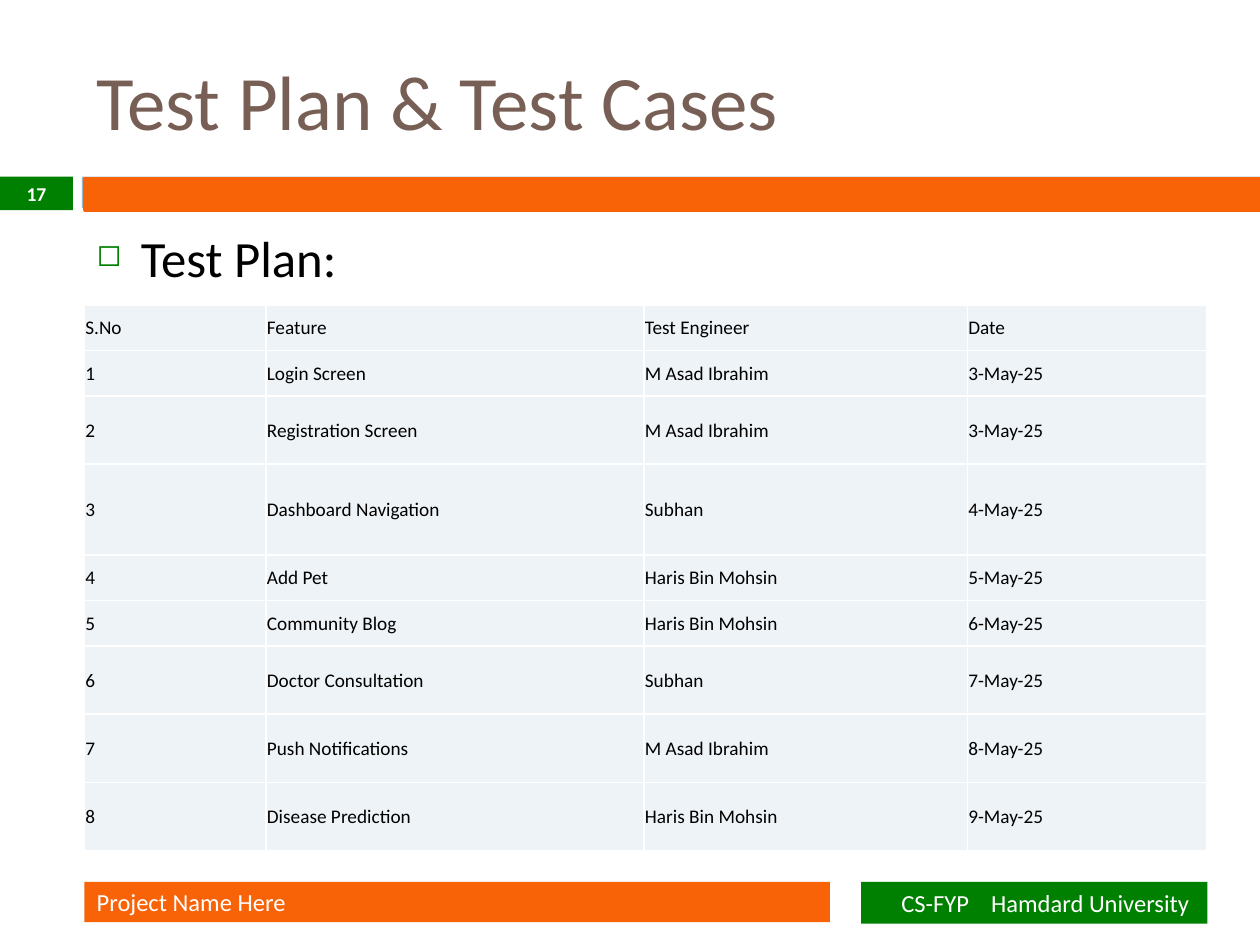
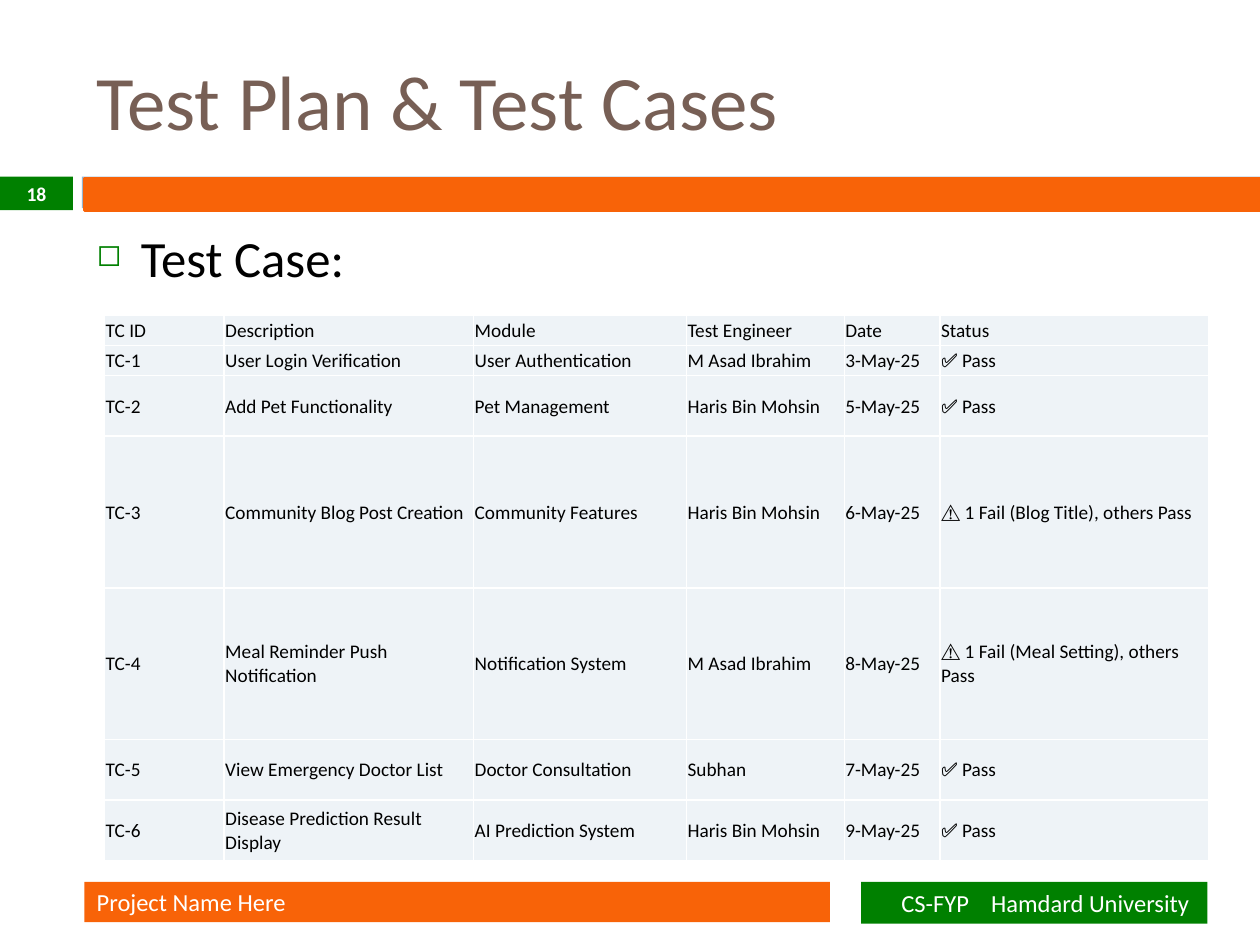
"""Build the test plan and test case slides."""
from lxml.etree import SubElement
from pptx import Presentation
from pptx.dml.color import RGBColor
from pptx.enum.shapes import MSO_SHAPE
from pptx.enum.text import MSO_ANCHOR, PP_ALIGN
from pptx.oxml.ns import qn
from pptx.util import Cm, Pt

BROWN = RGBColor(0x77, 0x5F, 0x55)
ORANGE = RGBColor(0xF8, 0x63, 0x08)
GREEN = RGBColor(0x00, 0x80, 0x00)
BLUE = RGBColor(0x94, 0xB6, 0xD2)
PALE = RGBColor(0xEE, 0xF3, 0xF7)
WHITE = RGBColor(0xFF, 0xFF, 0xFF)
BLACK = RGBColor(0x00, 0x00, 0x00)

PAGES = [
    {
        "num": "17", "head": "Test Plan:", "left": 1.7, "top": 6.15,
        "cols": [3.66, 7.62, 6.52, 4.83],
        "parts": [2, 2, 3, 4, 2, 2, 3, 3, 3],
        "rows": [
            ["S.No", "Feature", "Test Engineer", "Date"],
            ["1", "Login Screen", "M Asad Ibrahim", "3-May-25"],
            ["2", "Registration Screen", "M Asad Ibrahim", "3-May-25"],
            ["3", "Dashboard Navigation", "Subhan", "4-May-25"],
            ["4", "Add Pet", "Haris Bin Mohsin", "5-May-25"],
            ["5", "Community Blog", "Haris Bin Mohsin", "6-May-25"],
            ["6", "Doctor Consultation", "Subhan", "7-May-25"],
            ["7", "Push Notifications", "M Asad Ibrahim", "8-May-25"],
            ["8", "Disease Prediction", "Haris Bin Mohsin", "9-May-25"],
        ],
    },
    {
        "num": "18", "head": "Test Case:", "left": 2.11, "top": 6.35,
        "cols": [2.41, 5.03, 4.29, 3.18, 1.93, 5.41],
        "parts": [1, 1, 2, 5, 5, 2, 2],
        "rows": [
            ["TC ID", "Description", "Module", "Test Engineer", "Date", "Status"],
            ["TC-1", "User Login Verification", "User Authentication",
             "M Asad Ibrahim", "3-May-25", "✅ Pass"],
            ["TC-2", "Add Pet Functionality", "Pet Management",
             "Haris Bin Mohsin", "5-May-25", "✅ Pass"],
            ["TC-3", "Community Blog Post Creation", "Community Features",
             "Haris Bin Mohsin", "6-May-25", "⚠️ 1 Fail (Blog Title), others Pass"],
            ["TC-4", "Meal Reminder Push Notification", "Notification System",
             "M Asad Ibrahim", "8-May-25", "⚠️ 1 Fail (Meal Setting), others Pass"],
            ["TC-5", "View Emergency Doctor List", "Doctor Consultation",
             "Subhan", "7-May-25", "✅ Pass"],
            ["TC-6", "Disease Prediction Result Display", "AI Prediction System",
             "Haris Bin Mohsin", "9-May-25", "✅ Pass"],
        ],
    },
]
TALL = 11


def write(frame, text, size, color, bold=False, align=PP_ALIGN.LEFT):
    frame.word_wrap = True
    para = frame.paragraphs[0]
    para.alignment = align
    run = para.add_run()
    run.text = text
    run.font.name = "Calibri"
    run.font.size = Pt(size)
    run.font.bold = bold
    run.font.color.rgb = color
    return para._p.get_or_add_pPr()


def band(slide, left, top, width, height, color):
    shape = slide.shapes.add_shape(
        MSO_SHAPE.RECTANGLE, Cm(left), Cm(top), Cm(width), Cm(height))
    shape.shadow.inherit = False
    shape.fill.solid()
    shape.fill.fore_color.rgb = color
    shape.line.fill.background()
    frame = shape.text_frame
    frame.vertical_anchor = MSO_ANCHOR.MIDDLE
    frame.margin_top = frame.margin_bottom = 0
    return shape


deck = Presentation()
deck.slide_width, deck.slide_height = Cm(25.4), Cm(19.05)

for page in PAGES:
    slide = deck.slides.add_slide(deck.slide_layouts[6])

    band(slide, 1.65, 3.56, 23.75, 0.64, BLUE)
    strip = band(slide, 1.7, 3.6, 23.7, 0.64, ORANGE)
    strip.line.color.rgb = ORANGE
    strip.line.width = Pt(1.5)

    title = slide.shapes.add_textbox(Cm(1.7), Cm(0.64), Cm(21.16), Cm(2.74))
    title.text_frame.vertical_anchor = MSO_ANCHOR.MIDDLE
    write(title.text_frame, "Test Plan & Test Cases", 44, BROWN)

    name = band(slide, 1.7, 17.78, 15.03, 0.81, ORANGE)
    write(name.text_frame, "Project Name Here", 14, WHITE)
    badge = band(slide, 0, 3.56, 1.47, 0.68, GREEN)
    write(badge.text_frame, page["num"], 11.2, WHITE, True, PP_ALIGN.CENTER)

    school = band(slide, 17.36, 17.78, 6.98, 0.84, GREEN)
    school.text_frame.margin_left = Cm(0.81)
    school.text_frame.margin_right = 0
    props = write(school.text_frame, "CS-FYP\tHamdard University", 14, WHITE)
    tabs = SubElement(props, qn("a:tabLst"))
    SubElement(tabs, qn("a:tab"), pos=str(Cm(1.81)), algn="l")

    body = slide.shapes.add_textbox(Cm(1.7), Cm(4.45), Cm(22.65), Cm(1.5))
    props = write(body.text_frame, page["head"], 29, BLACK)
    props.set("marL", str(Cm(0.89)))
    props.set("indent", str(Cm(-0.89)))
    tint = SubElement(props, qn("a:buClr"))
    SubElement(tint, qn("a:srgbClr"), val=str(GREEN))
    SubElement(props, qn("a:buSzPct"), val="60000")
    SubElement(props, qn("a:buChar"), char="◻")

    rows, cols, parts = page["rows"], page["cols"], page["parts"]
    table = slide.shapes.add_table(
        len(rows), len(cols), Cm(page["left"]), Cm(page["top"]),
        Cm(sum(cols)), Cm(TALL)).table
    table.first_row = table.horz_banding = False
    for col, width in zip(table.columns, cols):
        col.width = Cm(width)
    for row, part, texts in zip(table.rows, parts, rows):
        row.height = Cm(TALL * part / sum(parts))
        for cell, text in zip(row.cells, texts):
            cell.fill.solid()
            cell.fill.fore_color.rgb = PALE
            cell.vertical_anchor = MSO_ANCHOR.MIDDLE
            cell.margin_left = cell.margin_right = cell.margin_top = Cm(0.02)
            cell.margin_bottom = 0
            write(cell.text_frame, text, 11, BLACK)
            for side in ("a:lnB", "a:lnT", "a:lnR", "a:lnL"):
                edge = cell._tc.get_or_add_tcPr().makeelement(
                    qn(side), {"w": str(Pt(1))})
                paint = SubElement(edge, qn("a:solidFill"))
                SubElement(paint, qn("a:srgbClr"), val=str(WHITE))
                cell._tc.tcPr.insert(0, edge)

deck.save("out.pptx")
